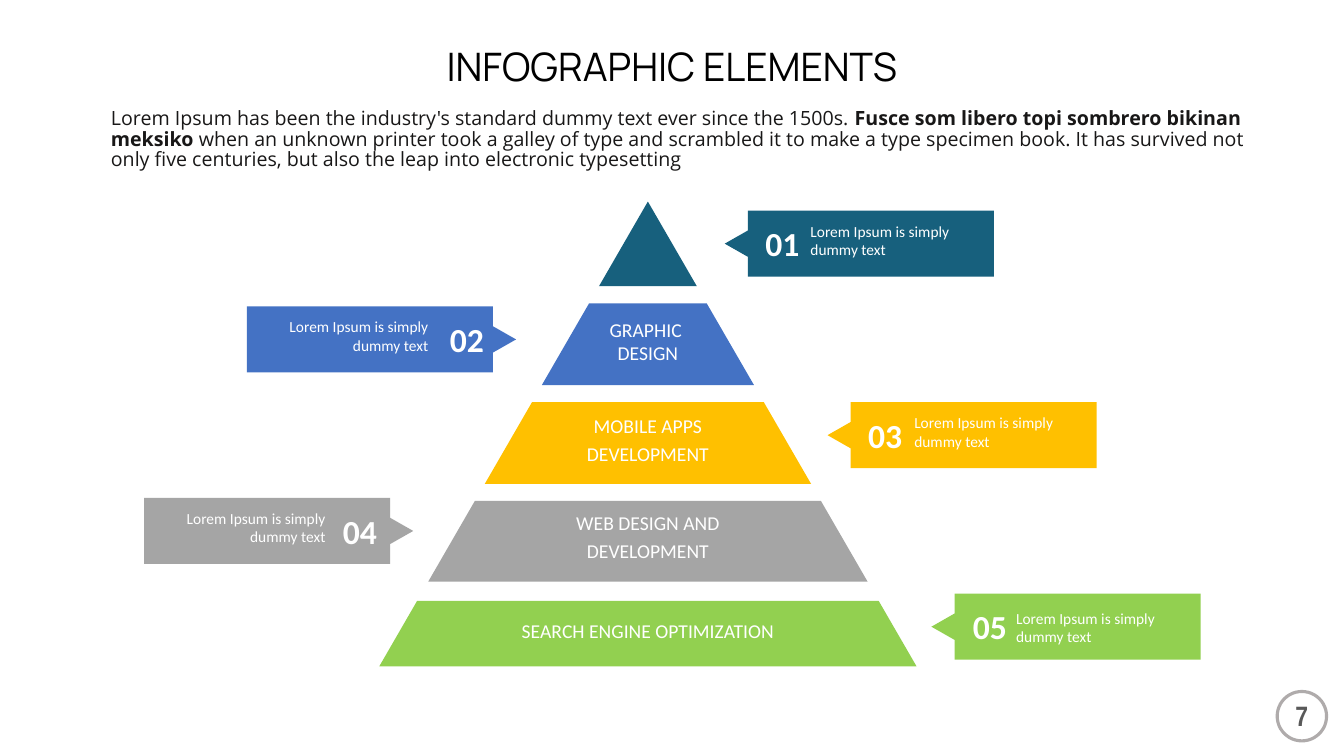
from pptx import Presentation
from pptx.dml.color import RGBColor
from pptx.enum.shapes import MSO_SHAPE as Shape
from pptx.enum.text import MSO_ANCHOR as Anchor, MSO_AUTO_SIZE as AutoSize, PP_ALIGN as Align
from pptx.util import Inches, Pt
from lxml.etree import SubElement
from pptx.oxml.ns import qn

TEAL = RGBColor(0x17, 0x60, 0x7D)
BLUE = RGBColor(0x44, 0x72, 0xC4)
GOLD = RGBColor(0xFF, 0xC0, 0x00)
GREY = RGBColor(0xA5, 0xA5, 0xA5)
GREEN = RGBColor(0x92, 0xD0, 0x50)
WHITE = RGBColor(0xFF, 0xFF, 0xFF)
BLACK = RGBColor(0x00, 0x00, 0x00)
INK = RGBColor(0x18, 0x17, 0x17)
RING = RGBColor(0xAF, 0xAB, 0xAB)
PAGE_INK = RGBColor(0x59, 0x59, 0x59)

COLUMNS, ROWS = 133.33, 75
CENTRE, APEX, SLOPE = 64.28, 20, 0.578
LABEL_WIDTH = 32

TIERS = [
    (20, 28.4, TEAL, None, 0),
    (30.1, 38.2, BLUE, "GRAPHIC \vDESIGN", 31.5),
    (39.9, 48, GOLD, "MOBILE APPS\nDEVELOPMENT", 41.1),
    (49.7, 57.7, GREY, "WEB DESIGN AND\nDEVELOPMENT", 50.7),
    (59.6, 66.1, GREEN, "SEARCH ENGINE OPTIMIZATION", 61.4),
]
CALLOUTS = [
    (TEAL, 71.9, 1, 79.3, 80.4, 1.1),
    (BLUE, 51.2, -1, 48, 42.5, 1.1),
    (GOLD, 82.1, 1, 89.5, 90.7, 1.1),
    (GREY, 41, -1, 37.4, 32.3, 1.1),
    (GREEN, 92.4, 1, 99.9, 100.8, 1.5),
]
CALLOUT_TOP, CALLOUT_STEP, CALLOUT_HEIGHT = 20.9, 9.5, 6.55
NECK, REACH, HALF_ARROW = 2.3, 26.7, 1.31
NUMBER_WIDTH, NOTE_WIDTH = 5.7, 17.1
NOTE = "Lorem Ipsum is simply dummy text"
INTRO = [
    ("Lorem Ipsum has been the industry's standard dummy text ever since the 1500s. ", False),
    ("Fusce som libero topi sombrero bikinan meksiko", True),
    (" when an unknown printer took a galley of type and scrambled it to make a type "
     "specimen book. It has survived not only five centuries, but also the leap into "
     "electronic typesetting", False),
]


class Deck:
    font = "Calibri"

    def __init__(self):
        self.presentation = Presentation()
        self.presentation.slide_width = Inches(13.333)
        self.presentation.slide_height = Inches(7.5)
        self.column = self.presentation.slide_width / COLUMNS
        self.row = self.presentation.slide_height / ROWS
        self.slide = self.presentation.slides.add_slide(self.presentation.slide_layouts[1])

    def box(self, left, top, width, height):
        return (round(left * self.column), round(top * self.row),
                round(width * self.column), round(height * self.row))

    def place(self, holder, *area):
        holder.left, holder.top, holder.width, holder.height = self.box(*area)
        holder.text_frame.auto_size = AutoSize.NONE

    def style(self, run, size, color, bold=False, font=None):
        run.font.name = font or self.font
        run.font.size = Pt(size)
        run.font.bold = bold
        run.font.color.rgb = color

    def title(self, text, *area):
        heading = self.slide.shapes.title
        self.place(heading, *area)
        heading.text_frame.text = text
        heading.text_frame.vertical_anchor = Anchor.MIDDLE
        paragraph = heading.text_frame.paragraphs[0]
        paragraph.alignment = Align.CENTER
        self.style(paragraph.runs[0], 28, BLACK, font="Manrope")

    def intro(self, parts, *area):
        body = self.slide.placeholders[1]
        self.place(body, *area)
        body.text_frame.vertical_anchor = Anchor.TOP
        paragraph = body.text_frame.paragraphs[0]
        paragraph.line_spacing = 0.88
        paragraph.space_before, paragraph.space_after = Pt(2.8), Pt(6)
        properties = paragraph._p.get_or_add_pPr()
        properties.set("marL", "0")
        properties.set("indent", "0")
        SubElement(properties, qn("a:buNone"))
        for text, bold in parts:
            run = paragraph.add_run()
            run.text = text
            self.style(run, 14, INK, bold, "Open Sans")

    def outline(self, points, color):
        corners = [(round(x * self.column), round(y * self.row)) for x, y in points]
        builder = self.slide.shapes.build_freeform(*corners[0])
        builder.add_line_segments(corners[1:], close=True)
        block = builder.convert_to_shape()
        block.shadow.inherit = False
        block.fill.solid()
        block.fill.fore_color.rgb = color
        block.line.fill.background()

    def text(self, text, area, size, align, color=WHITE, bold=False, font=None, anchor=Anchor.TOP):
        frame = self.slide.shapes.add_textbox(*self.box(*area)).text_frame
        frame.word_wrap = True
        frame.vertical_anchor = anchor
        frame.margin_left = frame.margin_right = frame.margin_top = frame.margin_bottom = 0
        frame.text = text
        for paragraph in frame.paragraphs:
            paragraph.alignment = align
            paragraph.space_before = Pt(size * 0.2)
            for run in paragraph.runs:
                self.style(run, size, color, bold, font)

    def tier(self, top, bottom, color, label, label_top):
        upper, lower = SLOPE * (top - APEX), SLOPE * (bottom - APEX)
        peak = [(CENTRE - upper, top), (CENTRE + upper, top)] if upper else [(CENTRE, top)]
        self.outline(peak + [(CENTRE + lower, bottom), (CENTRE - lower, bottom)], color)
        if label:
            area = (CENTRE - LABEL_WIDTH / 2, label_top, LABEL_WIDTH, 5.9)
            self.text(label, area, 14, Align.CENTER)

    def callout(self, index, color, tip, side, number_right, note_edge, note_drop):
        top = CALLOUT_TOP + CALLOUT_STEP * index
        middle, bottom = top + CALLOUT_HEIGHT / 2, top + CALLOUT_HEIGHT
        neck, far = tip + side * NECK, tip + side * REACH
        self.outline([(neck, top), (neck, middle - HALF_ARROW), (tip, middle),
                      (neck, middle + HALF_ARROW), (neck, bottom), (far, bottom), (far, top)], color)
        self.text(f"{index + 1:02}", (number_right - NUMBER_WIDTH, top + 1.3, NUMBER_WIDTH, 3.9),
                  24, Align.RIGHT, bold=True, anchor=Anchor.MIDDLE)
        note_left = note_edge if side > 0 else note_edge - NOTE_WIDTH
        self.text(NOTE, (note_left, top + note_drop, NOTE_WIDTH, 4.2), 11,
                  Align.LEFT if side > 0 else Align.RIGHT)

    def page_badge(self, number, left, top, size):
        ring = self.slide.shapes.add_shape(Shape.OVAL, *self.box(left, top, size, size))
        ring.shadow.inherit = False
        ring.fill.background()
        ring.line.color.rgb = RING
        ring.line.width = Pt(2.25)
        self.text(number, (left + 0.8, top + 0.2, size - 1.6, size - 0.5), 20, Align.CENTER,
                  PAGE_INK, True, "Arial Narrow", Anchor.MIDDLE)


def main():
    deck = Deck()
    deck.title("INFOGRAPHIC ELEMENTS", 27.1, 4.1, 79.1, 4.9)
    deck.intro(INTRO, 10, 10.3, 118.1, 7.2)
    for tier in TIERS:
        deck.tier(*tier)
    for index, callout in enumerate(CALLOUTS):
        deck.callout(index, *callout)
    deck.page_badge("7", 126.7, 68.6, 4.9)
    deck.presentation.save("out.pptx")


if __name__ == "__main__":
    main()
